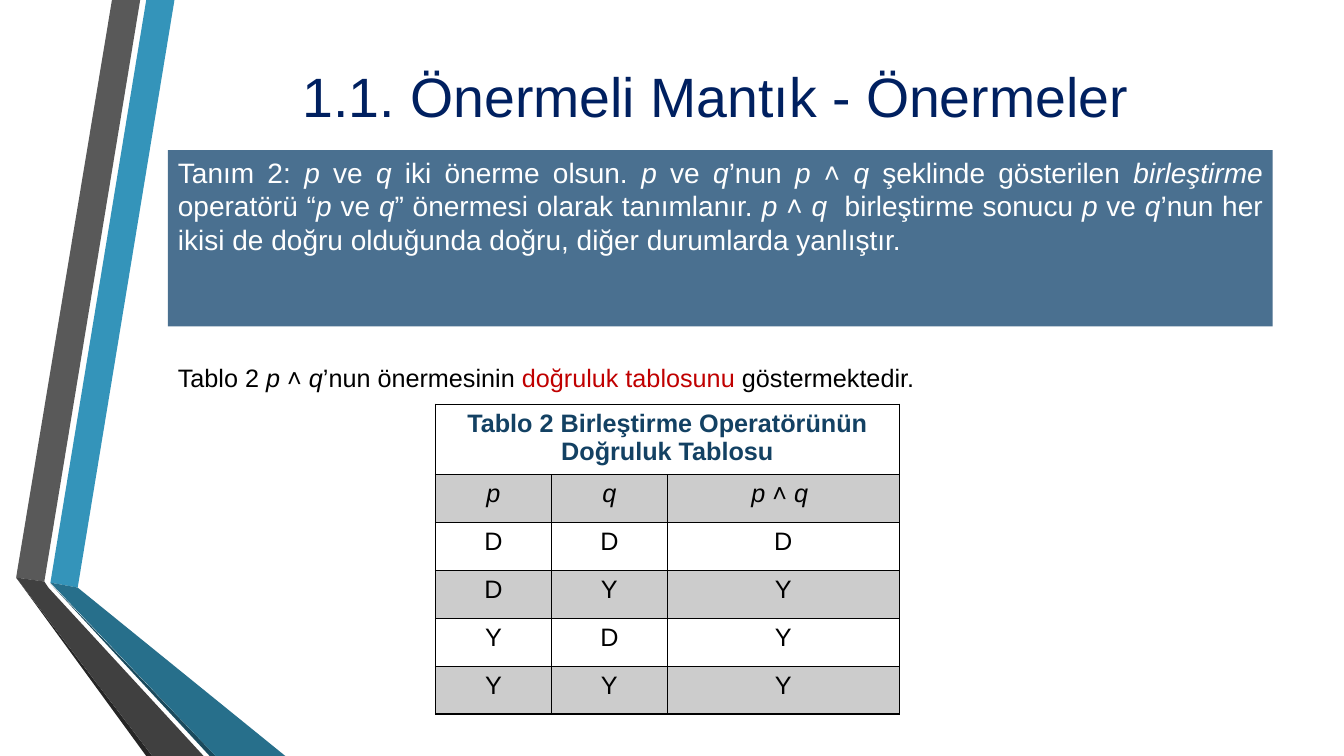
from dataclasses import dataclass

from lxml import etree
from pptx import Presentation
from pptx import util as u
from pptx.dml.color import RGBColor
from pptx.enum import shapes, text
from pptx.oxml import ns


@dataclass(frozen=True)
class Theme:
    font: str = "Arial"
    title_size: float = 39.6
    definition_size: float = 20
    body_size: float = 18
    title: str = "002060"
    panel: str = "4A7090"
    light: str = "FFFFFF"
    ink: str = "000000"
    accent: str = "C00000"
    heading: str = "134163"
    shade_percent: int = 20
    border_width: float = 1


@dataclass(frozen=True)
class Ribbon:
    color: str
    corners: tuple[tuple[float, float], ...]


@dataclass(frozen=True)
class Area:
    left: float
    top: float
    width: float
    height: float

    def emu(self) -> tuple[int, int, int, int]:
        return across(self.left), down(self.top), across(self.width), down(self.height)


THEME = Theme()
SLIDE_WIDTH, SLIDE_HEIGHT = u.Inches(13.33), u.Inches(7.5)

RIBBONS = (
    Ribbon("3494BA", ((3.75, 77.07), (5.78, 77.73), (12.98, 0), (10.88, 0))),
    Ribbon("595959", ((10.43, 0), (8.33, 0), (1.2, 76.4), (3.3, 76.93))),
    Ribbon("262626", ((1.2, 76.4), (10.88, 100), (11.33, 100))),
    Ribbon("1A4A5D", ((3.75, 77.2), (15.6, 100), (16.05, 100))),
    Ribbon("276F8B", ((3.75, 77.07), (16.05, 100), (21.23, 100), (5.78, 77.73))),
    Ribbon("404040", ((15.15, 100), (3.6, 77.73), (3.3, 76.93), (1.2, 76.4), (11.33, 100))),
)

TITLE_AREA = Area(12.15, 1.87, 82.2, 21.6)
DEFINITION_AREA = Area(12.5, 19.87, 82.2, 23.33)
CAPTION_AREA = Area(12.5, 47.33, 81.8, 45.73)

COLUMN_SHARE, COLUMN_SPANS = 8.63, (1, 1, 2)
HEADING_ROW, BODY_ROW = 8.8, 6.33
TABLE_LEFT, TABLE_TOP = 32.4, 53.47

DEFINITION = (
    "Tanım 2: *p* ve *q* iki önerme olsun. *p* ve *q*’nun *p* ˄ *q* şeklinde gösterilen "
    "*birleştirme* operatörü “*p *ve *q*” önermesi olarak tanımlanır. *p* ˄ *q * birleştirme "
    "sonucu *p* ve *q*’nun her ikisi de doğru olduğunda doğru, diğer durumlarda yanlıştır. "
)
CAPTION = "Tablo 2 *p* ˄ *q*’nun önermesinin |doğruluk tablosunu |göstermektedir."
TABLE_HEADING = "Tablo 2 Birleştirme Operatörünün Doğruluk Tablosu"
TRUTH_ROWS = (("*p*", "*q*", "*p* ˄ *q *"), *("DDD", "DYY", "YDY", "YYY"))


def across(share: float) -> int:
    return round(SLIDE_WIDTH * share / 100)


def down(share: float) -> int:
    return round(SLIDE_HEIGHT * share / 100)


def write(frame, content: str, *, size: float, color: str = THEME.ink, bold: bool = False,
          align=text.PP_ALIGN.LEFT, anchor=text.MSO_ANCHOR.TOP) -> None:
    frame.word_wrap = True
    frame.vertical_anchor = anchor
    paragraph = frame.paragraphs[0]
    paragraph.alignment = align
    for accent_index, section in enumerate(content.split("|")):
        for italic_index, words in enumerate(section.split("*")):
            if not words:
                continue
            run = paragraph.add_run()
            run.text = words
            run.font.name = THEME.font
            run.font.size = u.Pt(size)
            run.font.bold = bold
            run.font.italic = italic_index % 2 == 1
            run_color = THEME.accent if accent_index % 2 else color
            run.font.color.rgb = RGBColor.from_string(run_color)


def paint(shape, color: str) -> None:
    shape.fill.solid()
    shape.fill.fore_color.rgb = RGBColor.from_string(color)
    shape.line.fill.background()
    shape.shadow.inherit = False


def draw_ribbon(slide, ribbon: Ribbon) -> None:
    start, *others = [(across(x), down(y)) for x, y in ribbon.corners]
    builder = slide.shapes.build_freeform(*start)
    builder.add_line_segments(others, close=True)
    paint(builder.convert_to_shape(), ribbon.color)


def style_cell(cell, shaded: bool) -> None:
    properties = cell._tc.get_or_add_tcPr()
    for side in ("lnL", "lnR", "lnT", "lnB"):
        border = etree.SubElement(properties, ns.qn(f"a:{side}"), w=str(u.Pt(THEME.border_width)))
        stroke = etree.SubElement(border, ns.qn("a:solidFill"))
        etree.SubElement(stroke, ns.qn("a:srgbClr"), val=THEME.ink)
    if not shaded:
        cell.fill.background()
        return
    cell.fill.solid()
    cell.fill.fore_color.rgb = RGBColor.from_string(THEME.ink)
    shade = properties.find(ns.qn("a:solidFill")).find(ns.qn("a:srgbClr"))
    etree.SubElement(shade, ns.qn("a:alpha"), val=str(THEME.shade_percent * 1000))


def draw_truth_table(slide) -> None:
    heights = [HEADING_ROW] + [BODY_ROW] * len(TRUTH_ROWS)
    area = Area(TABLE_LEFT, TABLE_TOP, COLUMN_SHARE * sum(COLUMN_SPANS), sum(heights))
    table = slide.shapes.add_table(len(heights), len(COLUMN_SPANS), *area.emu()).table
    table.first_row = table.horz_banding = False
    for column, span in zip(table.columns, COLUMN_SPANS):
        column.width = across(COLUMN_SHARE * span)
    for row_index, height in enumerate(heights):
        table.rows[row_index].height = down(height)
        for cell in table.rows[row_index].cells:
            style_cell(cell, shaded=row_index % 2 == 1)
    table.cell(0, 0).merge(table.cell(0, len(COLUMN_SPANS) - 1))
    write(table.cell(0, 0).text_frame, TABLE_HEADING, size=THEME.body_size,
          color=THEME.heading, bold=True, align=text.PP_ALIGN.CENTER)
    for row_index, values in enumerate(TRUTH_ROWS, start=1):
        for column_index, value in enumerate(values):
            write(table.cell(row_index, column_index).text_frame, value,
                  size=THEME.body_size, align=text.PP_ALIGN.CENTER)


def main() -> None:
    presentation = Presentation()
    presentation.slide_width, presentation.slide_height = SLIDE_WIDTH, SLIDE_HEIGHT
    slide = presentation.slides.add_slide(presentation.slide_layouts[6])

    for ribbon in RIBBONS:
        draw_ribbon(slide, ribbon)

    title = slide.shapes.add_textbox(*TITLE_AREA.emu())
    write(title.text_frame, "1.1. Önermeli Mantık - Önermeler", size=THEME.title_size,
          color=THEME.title, align=text.PP_ALIGN.CENTER, anchor=text.MSO_ANCHOR.MIDDLE)

    draw_truth_table(slide)

    definition = slide.shapes.add_shape(shapes.MSO_SHAPE.RECTANGLE, *DEFINITION_AREA.emu())
    paint(definition, THEME.panel)
    write(definition.text_frame, DEFINITION, size=THEME.definition_size,
          color=THEME.light, align=text.PP_ALIGN.JUSTIFY)

    caption = slide.shapes.add_textbox(*CAPTION_AREA.emu())
    write(caption.text_frame, CAPTION, size=THEME.body_size)

    presentation.save("out.pptx")


if __name__ == "__main__":
    main()
